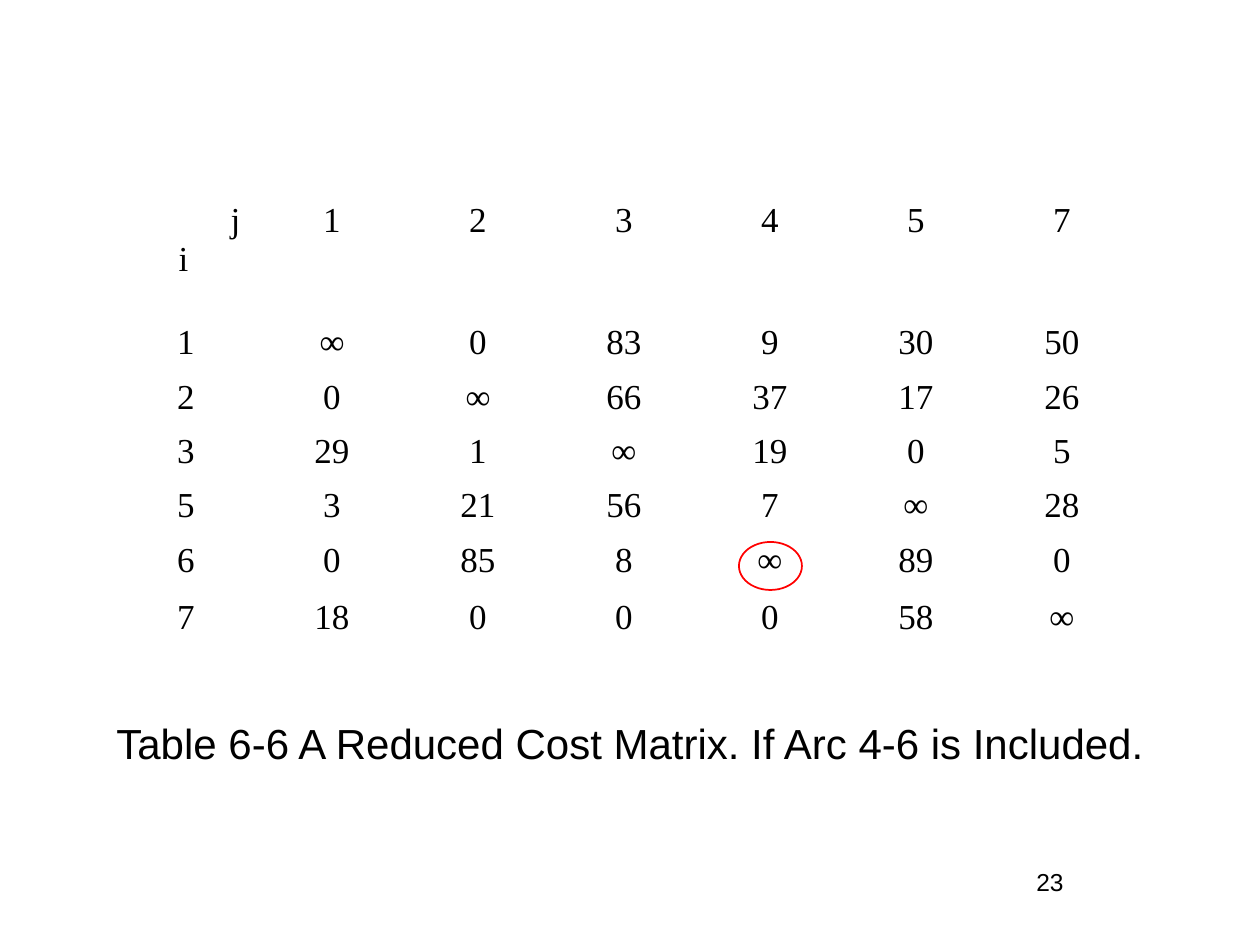
from pptx import Presentation
from pptx.dml.color import RGBColor
from pptx.enum.shapes import MSO_SHAPE
from pptx.enum.text import MSO_ANCHOR, PP_ALIGN
from pptx.oxml.ns import qn
from pptx.util import Pt

BLACK = RGBColor(0, 0, 0)
RED = RGBColor(255, 0, 0)
OVAL = MSO_SHAPE.OVAL
TOP = MSO_ANCHOR.TOP
CENTER, LEFT = PP_ALIGN.CENTER, PP_ALIGN.LEFT
NO_STYLE_NO_GRID = "{2D5ABB26-0587-4C30-8999-92F81FD0307C}"


def px(length):
    return round(length * 914400 / 126)


def write(paragraph, text, size, font, align=CENTER):
    paragraph.alignment = align
    run = paragraph.add_run()
    run.text = text
    run.font.size = Pt(size)
    run.font.name = font
    run.font.color.rgb = BLACK


prs = Presentation()
prs.slide_width, prs.slide_height = px(1260), px(945)
slide = prs.slides.add_slide(prs.slide_layouts[1])
heading = slide.shapes.title.element
heading.getparent().remove(heading)

caption = slide.placeholders[1]
caption.left, caption.top, caption.width, caption.height = px(63), px(711), px(1134), px(133)
caption.text_frame.vertical_anchor = TOP
caption_line = caption.text_frame.paragraphs[0]
caption_format = caption_line._p.get_or_add_pPr()
caption_format.set("marL", "0")
caption_format.set("indent", "0")
caption_format.append(caption_format.makeelement(qn("a:buNone"), {}))
caption_line.space_before = Pt(0)
write(caption_line, "Table 6-6 A Reduced Cost Matrix. If Arc 4-6 is Included.", 24, "Arial")

new_infinity = slide.shapes.add_shape(OVAL, px(739), px(542), px(63), px(48))
new_infinity.shadow.inherit = False
new_infinity.fill.background()
new_infinity.line.color.rgb = RED
new_infinity.line.width = Pt(1)

cost_rows = [
    ["", "1", "2", "3", "4", "5", "7"],
    ["1", "∞", "0", "83", "9", "30", "50"],
    ["2", "0", "∞", "66", "37", "17", "26"],
    ["3", "29", "1", "∞", "19", "0", "5"],
    ["5", "3", "21", "56", "7", "∞", "28"],
    ["6", "0", "85", "8", "∞", "89", "0"],
    ["7", "18", "0", "0", "0", "58", "∞"],
]
row_heights = [122, 55, 54, 54, 55, 57, 54]
matrix = slide.shapes.add_table(7, 7, px(113), px(195), px(146 * 7), px(sum(row_heights))).table
matrix.first_row = False
matrix.horz_banding = False
matrix._tbl.tblPr.find(qn("a:tableStyleId")).text = NO_STYLE_NO_GRID
for column in matrix.columns:
    column.width = px(146)
for r, (costs, height) in enumerate(zip(cost_rows, row_heights)):
    matrix.rows[r].height = px(height)
    for c, cost in enumerate(costs):
        cell = matrix.cell(r, c)
        cell.fill.background()
        if cost:
            write(cell.text_frame.paragraphs[0], cost, 20, "Times New Roman")

corner = matrix.cell(0, 0).text_frame
corner.add_paragraph()
for index_line, index_name, indent in zip(corner.paragraphs, "ji", (105, 53)):
    index_line._p.get_or_add_pPr().set("marL", str(px(indent)))
    write(index_line, index_name, 20, "Times New Roman", LEFT)

page_number = slide.shapes.add_textbox(px(903), px(861), px(294), px(66)).text_frame
page_number.word_wrap = True
write(page_number.paragraphs[0], "23", 14, "Arial")

prs.save("out.pptx")
